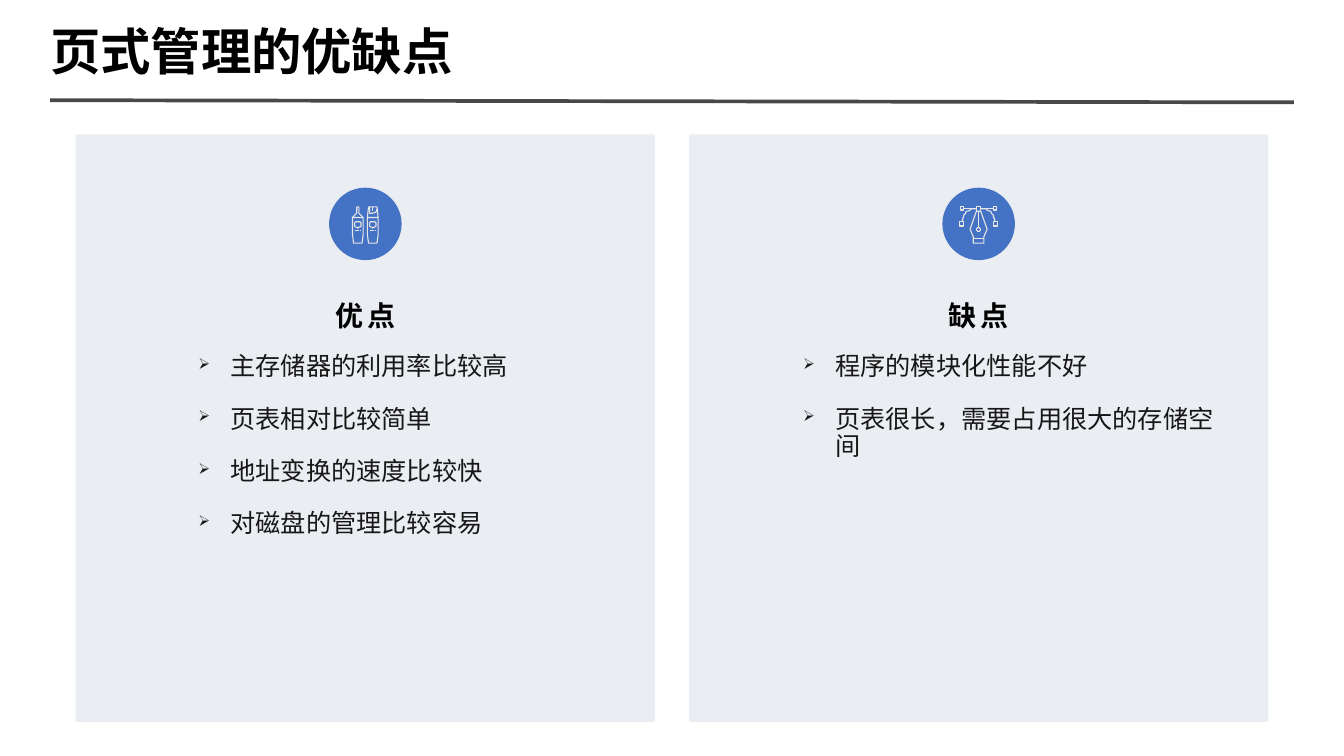
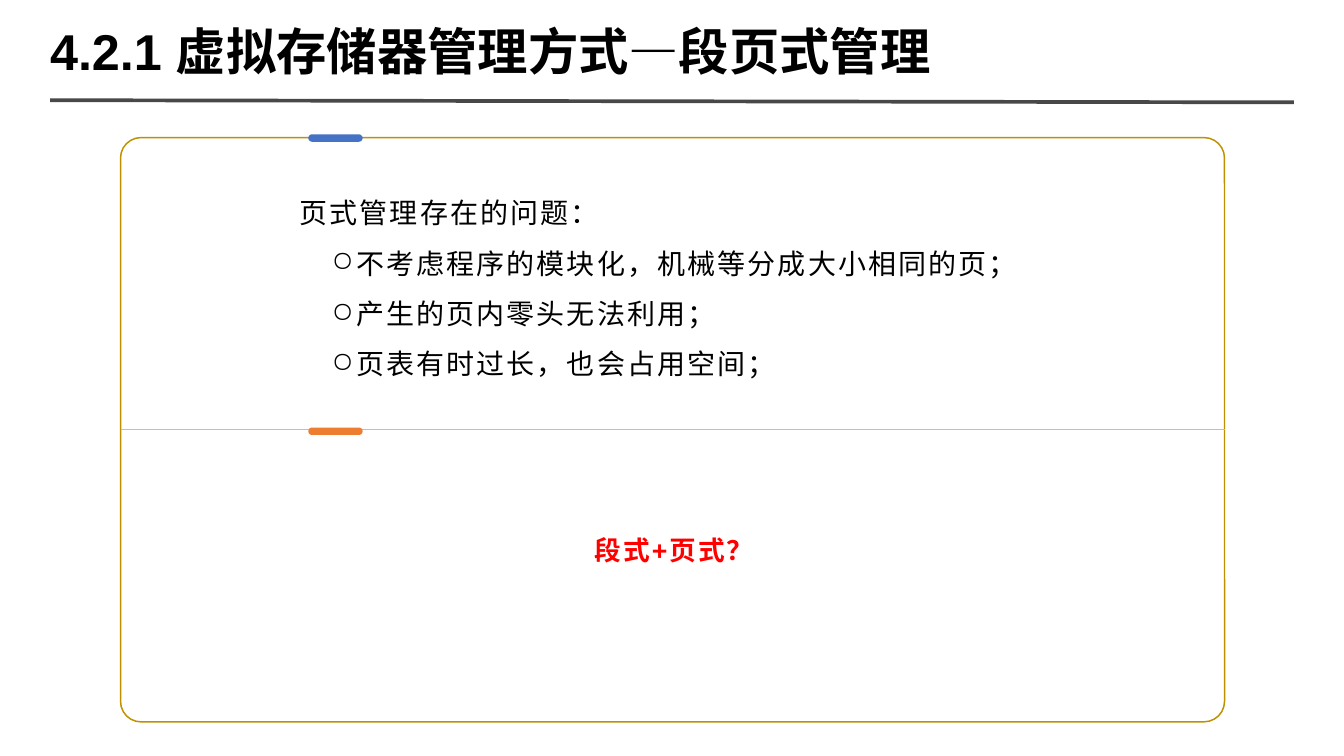
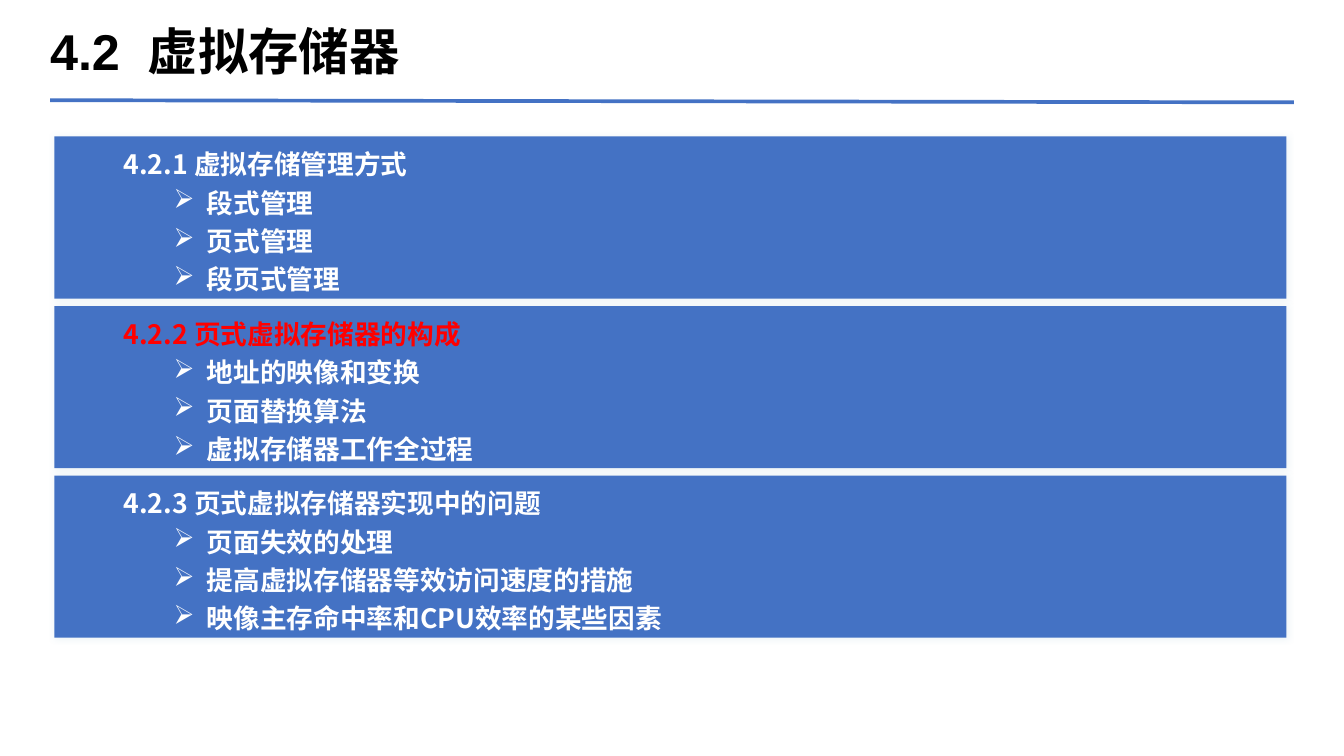
from dataclasses import dataclass, replace
from math import cos, pi, sin
from typing import Optional

from lxml.etree import SubElement
from pptx import Presentation
from pptx.dml.color import RGBColor
from pptx.enum.shapes import MSO_CONNECTOR, MSO_SHAPE
from pptx.enum.text import MSO_ANCHOR, PP_ALIGN
from pptx.oxml.ns import qn
from pptx.util import Inches, Pt

SLIDE_W, SLIDE_H = 12.6, 7.09
BLUE, ORANGE, RED, WHITE, BLACK = "4472C4", "ED7D31", "FF0000", "FFFFFF", "000000"
RULE_GREY, DIVIDER_GREY, INK = "484849", "BFBFBF", "181717"
PANEL_TINT, ICON_GREY, GOLD, GLOW = "D6DCE5", "E7E6E6", "BF9000", "7DADC4"
CJK_FONT = "Noto Sans CJK SC"
FRAME_INSETS = (0.1, 0.05)
PANEL_INSETS = (0.09, 0.05)

Point = tuple[float, float]
Contour = list[Point]
Box = tuple[float, float, float, float]


@dataclass(frozen=True)
class Bullet:
    mark: str
    indent: float
    hanging: float
    percent: int = 100


@dataclass(frozen=True)
class TextStyle:
    size: float
    color: str = BLACK
    bold: bool = False
    face: str = "Arial"
    tracking: float = 0
    line_spacing: float = 1.0
    space_before: float = 0
    align: Optional[PP_ALIGN] = None
    bullet: Optional[Bullet] = None


@dataclass(frozen=True)
class Line:
    text: str
    style: TextStyle


@dataclass(frozen=True)
class Panel:
    heading: str
    points: list[str]
    icon: list[Contour]
    body_offset: float
    body_width: float


@dataclass(frozen=True)
class Section:
    heading: str
    topics: list[str]
    heading_color: str = WHITE


TITLE = TextStyle(34, bold=True)
PANEL_HEADING = TextStyle(18.9, bold=True, tracking=2.8, line_spacing=1.3, align=PP_ALIGN.CENTER)
PANEL_POINT = TextStyle(17, INK, face=CJK_FONT, line_spacing=0.9, space_before=17,
                        bullet=Bullet("➢", 0.77, 0.3, 60))
PROBLEM_INTRO = TextStyle(18.9, tracking=1.4, line_spacing=1.5)
PROBLEM = replace(PROBLEM_INTRO, bullet=Bullet("○", 0.53, 0.23))
QUESTION = TextStyle(18, RED, True, tracking=1.4, line_spacing=1.3, align=PP_ALIGN.CENTER)
SECTION_HEADING = TextStyle(18, WHITE, True, CJK_FONT, line_spacing=1.2)
SECTION_TOPIC = replace(SECTION_HEADING, bullet=Bullet("➢", 0.78, 0.31))


def rgb(color: str) -> RGBColor:
    return RGBColor.from_string(color)


def inches(box: Box) -> list[Inches]:
    return [Inches(length) for length in box]


def add_bullet(paragraph, bullet: Bullet) -> None:
    paragraph.level = 1
    props = paragraph._p.get_or_add_pPr()
    props.set("marL", str(Inches(bullet.indent)))
    props.set("indent", str(-Inches(bullet.hanging)))
    SubElement(props, qn("a:buSzPct"), val=str(bullet.percent * 1000))
    SubElement(props, qn("a:buChar"), char=bullet.mark)


def add_text(slide, box: Box, lines: list[Line], anchor=MSO_ANCHOR.TOP,
             insets: tuple[float, float] = FRAME_INSETS) -> None:
    frame = slide.shapes.add_textbox(*inches(box)).text_frame
    across, down = map(Inches, insets)
    layout = {"word_wrap": True, "vertical_anchor": anchor,
              "margin_left": across, "margin_right": across,
              "margin_top": down, "margin_bottom": down}
    for name, value in layout.items():
        setattr(frame, name, value)
    for index, line in enumerate(lines):
        style = line.style
        paragraph = frame.add_paragraph() if index else frame.paragraphs[0]
        if style.bullet:
            add_bullet(paragraph, style.bullet)
        spacing = {"alignment": style.align, "line_spacing": style.line_spacing,
                   "space_before": Pt(style.space_before if index else 0)}
        for name, value in spacing.items():
            setattr(paragraph, name, value)
        run = paragraph.add_run()
        run.text = line.text
        for name, value in {"size": Pt(style.size), "bold": style.bold, "name": style.face}.items():
            setattr(run.font, name, value)
        run.font.color.rgb = rgb(style.color)
        props = run._r.get_or_add_rPr()
        props.set("spc", str(round(style.tracking * 100)))
        SubElement(props, qn("a:ea"), typeface=CJK_FONT)


def paint(shape, fill: Optional[str] = None, line: Optional[str] = None, width: float = 1) -> None:
    shape.shadow.inherit = False
    if fill:
        shape.fill.solid()
        shape.fill.fore_color.rgb = rgb(fill)
    else:
        shape.fill.background()
    if line:
        shape.line.color.rgb = rgb(line)
        shape.line.width = Pt(width)
    else:
        shape.line.fill.background()


def add_block(slide, kind: MSO_SHAPE, box: Box, fill: Optional[str] = None,
              line: Optional[str] = None, rounding: Optional[float] = None):
    shape = slide.shapes.add_shape(kind, *inches(box))
    paint(shape, fill, line)
    if rounding is not None:
        shape.adjustments[0] = rounding
    return shape


def add_rule(slide, start: Point, end: Point, color: str, width: float) -> None:
    rule = slide.shapes.add_connector(MSO_CONNECTOR.STRAIGHT, *inches(start + end))
    rule.line.color.rgb = rgb(color)
    rule.line.width = Pt(width)
    SubElement(rule._element.spPr, qn("a:effectLst"))


def set_opacity(shape, percent: int) -> None:
    color = shape._element.spPr.find(qn("a:solidFill"))[0]
    SubElement(color, qn("a:alpha"), val=str(percent * 1000))


def add_glow(shape) -> None:
    """Give the shape a faint shadow that spreads evenly on all sides."""
    effects = shape._element.spPr.find(qn("a:effectLst"))
    shadow = SubElement(effects, qn("a:outerShdw"), blurRad=str(Pt(5)), dist="0", dir="0")
    color = SubElement(shadow, qn("a:srgbClr"), val=GLOW)
    SubElement(color, qn("a:alpha"), val="15000")


def arc(x: float, y: float, rx: float, ry: float, start: float, sweep: float) -> Contour:
    """Points on an ellipse; angles are in turns."""
    steps = 16
    angles = [2 * pi * (start + sweep * step / steps) for step in range(steps + 1)]
    return [(x + rx * cos(angle), y + ry * sin(angle)) for angle in angles]


def ring(x: float, y: float, radius: float) -> Contour:
    return arc(x, y, radius, radius, 0, 1)


def square(x: float, y: float, half: float) -> Contour:
    corners = [(-half, -half), (half, -half), (half, half), (-half, half), (-half, -half)]
    return [(x + dx, y + dy) for dx, dy in corners]


def pen_icon() -> list[Contour]:
    nib = [(-1.5, -11.5), (1.5, -11.5), (8, 5), (5, 12), (5, 17.5), (-5, 17.5),
           (-5, 12), (-8, 5), (-1.5, -11.5)]
    contours = [nib, [(-5, 14.5), (5, 14.5)], [(0, -11.5), (0, 3)],
                ring(0, 5, 2), square(0, -14.5, 2)]
    for side in (-1, 1):
        contours += [[(side * 2, -14.5), (side * 14, -14.5)], ring(side * 15.5, -14.5, 1.5),
                     square(side * 15.5, 0.5, 2),
                     arc(side * 2, -1.5, side * 13.5, 13, 0, -0.25)]
    return contours


def markers_icon() -> list[Contour]:
    body = [(-5, -6.5), (5, -6.5), (5, 10), (4, 17.5), (-4, 17.5), (-5, 10), (-5, -6.5)]
    shared = [body, ring(0, 0.5, 3), [(-3, 5.5), (1, 5.5)], [(2, 5.5), (3, 5.5)]]
    tip = [(-5, -6.5), (-1.5, -10), (-1.5, -16.5), (0.5, -16.5), (1.5, -15), (1.5, -10), (5, -6.5)]
    cap = [(-5, -6.5), (-4, -16.5), (4, -16.5), (5, -6.5)]
    clip = [(-2.5, -16.5), (-2.5, -9.5), (0, -9.5), (3, -11), (4, -14)]
    markers = {-7: shared + [tip], 7: shared + [cap, clip, [(0, -16.5), (0, -12.5)]]}
    return [[(x + shift, y) for x, y in contour]
            for shift, contours in markers.items() for contour in contours]


def add_icon(slide, center: Point, contours: list[Contour]) -> None:
    """Draw contours given in hundredths of an inch from the centre."""
    builder = slide.shapes.build_freeform(*contours[0][0], scale=Inches(0.01))
    for index, contour in enumerate(contours):
        if index:
            builder.move_to(*contour[0])
        builder.add_line_segments(contour[1:], close=False)
    paint(builder.convert_to_shape(*map(Inches, center)), line=ICON_GREY, width=0.75)


def new_slide(deck, title: str, rule_color: str = RULE_GREY):
    slide = deck.slides.add_slide(deck.slide_layouts[6])
    left, right = 0.47, SLIDE_W - 0.47
    add_rule(slide, (left, 0.94), (right, 0.96), rule_color, 2.5)
    add_text(slide, (left, 0.16, right - left, 0.63), [Line(title, TITLE)],
             MSO_ANCHOR.MIDDLE, (0, 0))
    return slide


def build_pros_and_cons(deck) -> None:
    slide = new_slide(deck, "页式管理的优缺点")
    panels = [
        Panel("优点", ["主存储器的利用率比较高", "页表相对比较简单",
                     "地址变换的速度比较快", "对磁盘的管理比较容易"],
              markers_icon(), 0.59, 4.86),
        Panel("缺点", ["程序的模块化性能不好", "页表很长，需要占用很大的存储空间"],
              pen_icon(), 0.51, 4.56),
    ]
    margin, gap, top, height, badge = 0.71, 0.32, 1.26, 5.51, 0.68
    width = (SLIDE_W - 2 * margin - gap) / 2
    heading_width = 4.42
    for column, panel in enumerate(panels):
        left = margin + column * (width + gap)
        center = left + width / 2
        card = add_block(slide, MSO_SHAPE.RECTANGLE, (left, top, width, height), PANEL_TINT)
        set_opacity(card, 50)
        add_block(slide, MSO_SHAPE.OVAL, (center - badge / 2, top + 0.5, badge, badge), BLUE)
        add_icon(slide, (center, top + 0.5 + badge / 2), panel.icon)
        add_text(slide, (center - heading_width / 2, 2.54, heading_width, 0.62),
                 [Line(panel.heading, PANEL_HEADING)], MSO_ANCHOR.BOTTOM, PANEL_INSETS)
        add_text(slide, (left + panel.body_offset, 3.27, panel.body_width, 3.23),
                 [Line(point, PANEL_POINT) for point in panel.points], insets=PANEL_INSETS)


def build_paging_problems(deck) -> None:
    slide = new_slide(deck, "4.2.1 虚拟存储器管理方式—段页式管理")
    left, top, width, height = 1.13, 1.29, 10.35, 5.48
    middle = top + height / 2
    problems = ["不考虑程序的模块化，机械等分成大小相同的页；",
                "产生的页内零头无法利用；", "页表有时过长，也会占用空间；"]
    add_text(slide, (2.71, 1.63, 7.04, 2.04),
             [Line("页式管理存在的问题：", PROBLEM_INTRO)] + [Line(text, PROBLEM) for text in problems])
    add_block(slide, MSO_SHAPE.ROUNDED_RECTANGLE, (left, top, width, height),
              line=GOLD, rounding=0.035)
    add_rule(slide, (left, middle), (left + width, middle), DIVIDER_GREY, 1)
    add_text(slide, (2.8, 4.87, 7.04, 1.41), [Line("段式+页式？", QUESTION)])
    for tab_top, color in ((1.26, BLUE), (4.01, ORANGE)):
        add_block(slide, MSO_SHAPE.ROUNDED_RECTANGLE, (2.89, tab_top, 0.51, 0.07),
                  color, rounding=0.5)


def build_outline(deck) -> None:
    slide = new_slide(deck, "4.2  虚拟存储器", BLUE)
    sections = [
        Section("4.2.1 虚拟存储管理方式", ["段式管理", "页式管理", "段页式管理"]),
        Section("4.2.2 页式虚拟存储器的构成",
                ["地址的映像和变换", "页面替换算法", "虚拟存储器工作全过程"], RED),
        Section("4.2.3 页式虚拟存储器实现中的问题",
                ["页面失效的处理", "提高虚拟存储器等效访问速度的措施",
                 "映像主存命中率和CPU效率的某些因素"]),
    ]
    left, first_top, pitch, height = 0.51, 1.28, 1.59, 1.52
    for row, section in enumerate(sections):
        top = first_top + row * pitch
        add_glow(add_block(slide, MSO_SHAPE.RECTANGLE, (left, top, 11.55, height), BLUE))
        heading = Line(section.heading, replace(SECTION_HEADING, color=section.heading_color))
        add_text(slide, (left + 0.55, top, 6.31, height),
                 [heading] + [Line(topic, SECTION_TOPIC) for topic in section.topics])


def main() -> None:
    deck = Presentation()
    deck.slide_width, deck.slide_height = Inches(SLIDE_W), Inches(SLIDE_H)
    for build in (build_pros_and_cons, build_paging_problems, build_outline):
        build(deck)
    deck.save("out.pptx")


if __name__ == "__main__":
    main()
